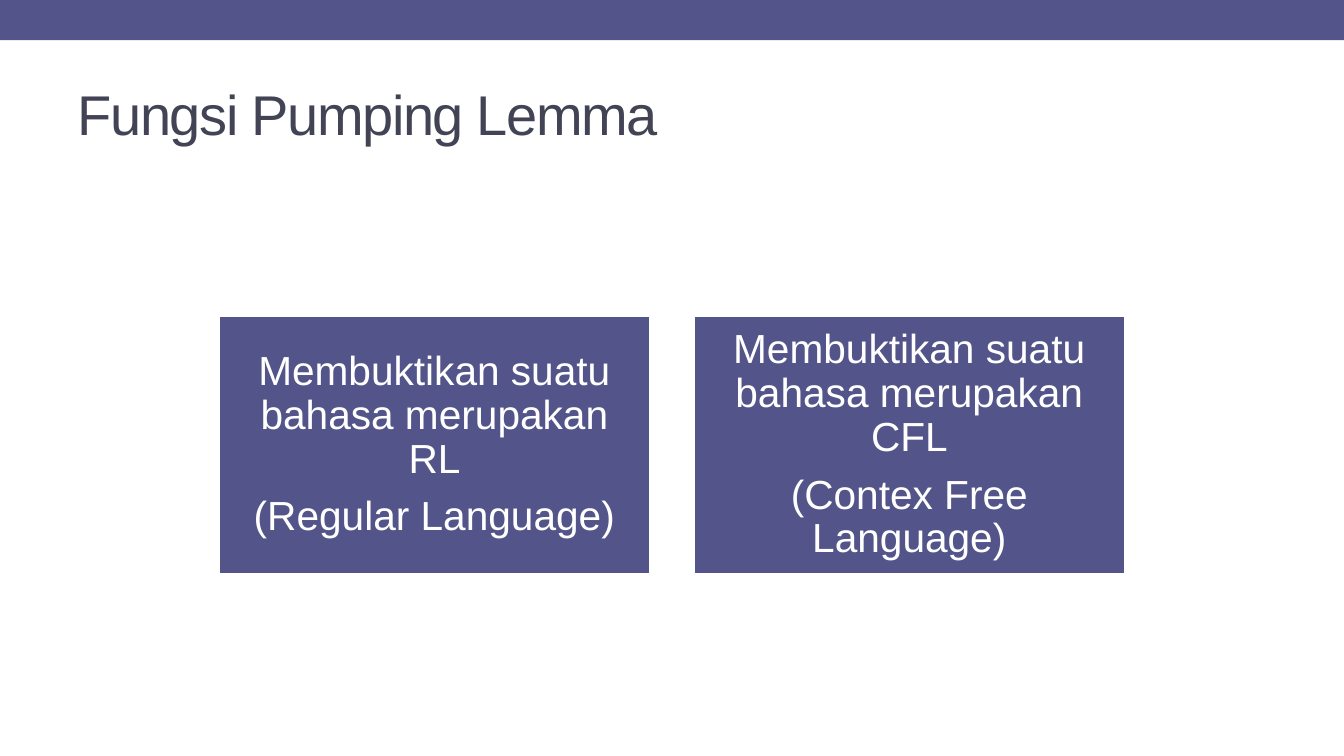
import pptx
import pptx.util
import pptx.dml.color
import pptx.enum.shapes
import pptx.enum.text

Inches = pptx.util.Inches
Pt = pptx.util.Pt
FONT = "Arial"
PURPLE = "53548A"
WHITE = "FFFFFF"
DARK = "424456"


def color(code):
    return pptx.dml.color.RGBColor.from_string(code)


def add_run(para, text, size, code):
    run = para.add_run()
    run.text = text
    run.font.name = FONT
    run.font.size = Pt(size)
    run.font.color.rgb = color(code)
    return run


def add_rect(slide, left, top, width, height, edge=None):
    rect = slide.shapes.add_shape(
        pptx.enum.shapes.MSO_SHAPE.RECTANGLE,
        Inches(left), Inches(top), Inches(width), Inches(height))
    rect.shadow.inherit = False
    rect.fill.solid()
    rect.fill.fore_color.rgb = color(PURPLE)
    if edge:
        rect.line.color.rgb = color(edge)
        rect.line.width = Pt(2.08)
    else:
        rect.line.fill.background()
    return rect


def set_title(slide, text):
    title = slide.shapes.title
    title.left, title.top = Inches(0.67), Inches(0.58)
    title.width, title.height = Inches(12), Inches(1.08)
    frame = title.text_frame
    frame.word_wrap = True
    frame.vertical_anchor = pptx.enum.text.MSO_ANCHOR.MIDDLE
    para = frame.paragraphs[0]
    para.alignment = pptx.enum.text.PP_ALIGN.LEFT
    run = add_run(para, text, 40, DARK)
    run.font._element.set("spc", "-100")


def add_card(slide, left, lines):
    card = add_rect(slide, left, 3.13, 4.28, 2.57, WHITE)
    frame = card.text_frame
    frame.word_wrap = True
    frame.vertical_anchor = pptx.enum.text.MSO_ANCHOR.MIDDLE
    frame.margin_left = frame.margin_right = Inches(0.12)
    frame.margin_top = frame.margin_bottom = Inches(0.12)
    for index, line in enumerate(lines):
        para = frame.add_paragraph() if index else frame.paragraphs[0]
        para.alignment = pptx.enum.text.PP_ALIGN.CENTER
        para.line_spacing = 0.9
        if index:
            para.space_before = Pt(10)
        add_run(para, line, 29, WHITE)


def main():
    deck = pptx.Presentation()
    deck.slide_width, deck.slide_height = Inches(13.33), Inches(7.5)
    slide = deck.slides.add_slide(deck.slide_layouts[5])
    add_rect(slide, 0, 0, 13.33, 0.4)
    set_title(slide, "Fungsi Pumping Lemma")
    cards = [
        ("Membuktikan suatu bahasa merupakan RL", "(Regular Language)"),
        ("Membuktikan suatu bahasa merupakan CFL", "(Contex Free Language)"),
    ]
    for index, lines in enumerate(cards):
        add_card(slide, 2.17 + 4.71 * index, lines)
    deck.save("out.pptx")


if __name__ == "__main__":
    main()
